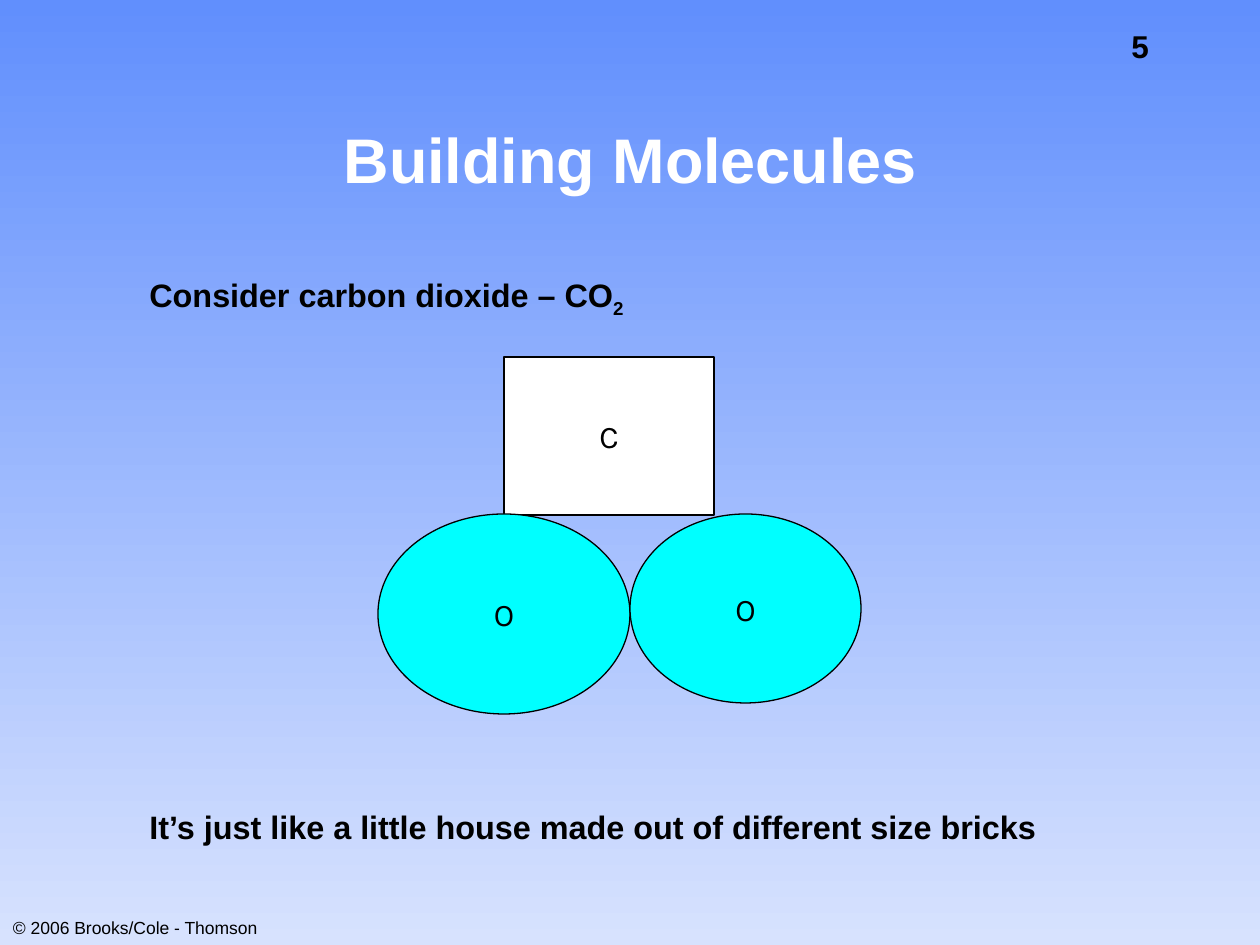
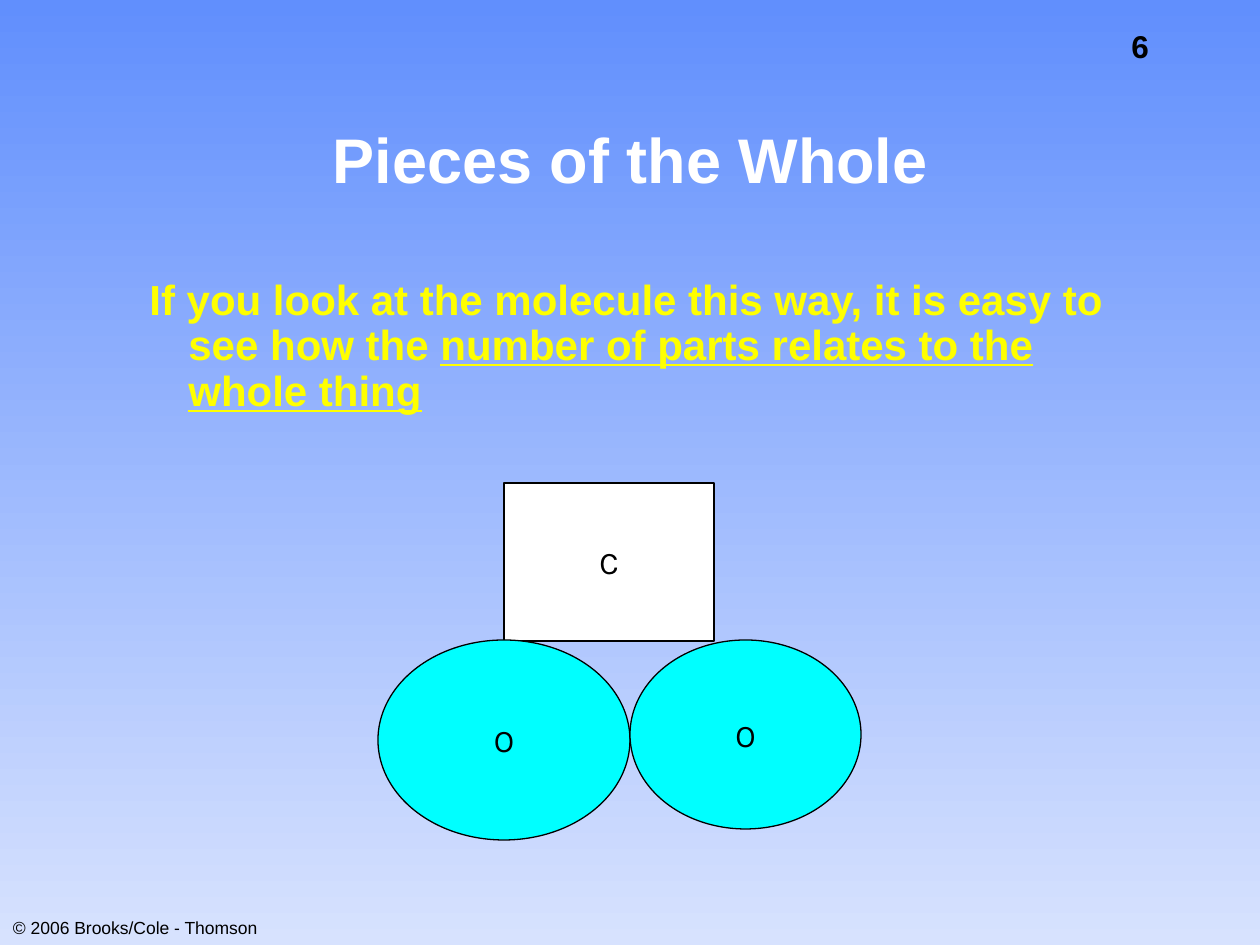
from dataclasses import dataclass

from pptx import Presentation
from pptx.dml.color import RGBColor
from pptx.enum.shapes import MSO_SHAPE as SHAPE
from pptx.enum.text import MSO_ANCHOR as ANCHOR, PP_ALIGN as ALIGN
from pptx.util import Emu, Pt

SCALE = 914400 / 126


def px(n):
    return Emu(round(n * SCALE))


@dataclass(frozen=True)
class Theme:
    sky_top: str = "618FFD"
    sky_bottom: str = "D7E2FE"
    ink: str = "000000"
    white: str = "FFFFFF"
    oxygen: str = "00FFFF"
    accent: str = "FFFF00"
    font: str = "Arial"
    atom_font: str = "Karla"
    title_size: float = 36
    accent_size: float = 24
    body_size: float = 18.5
    label_size: float = 18
    footer_size: float = 10


class Deck:
    def __init__(self, theme):
        self.theme = theme
        self.prs = Presentation()
        self.prs.slide_width, self.prs.slide_height = px(1260), px(945)
        self.s = None

    def slide(self, number, title):
        t = self.theme
        self.s = self.prs.slides.add_slide(self.prs.slide_layouts[6])
        fill = self.s.background.fill
        fill.gradient()
        fill.gradient_angle = 270
        for stop, color in zip(fill.gradient_stops, (t.sky_top, t.sky_bottom)):
            stop.color.rgb = RGBColor.from_string(color)
        self.text((1119, 21, 178, 51), [(str(number), {})], t.label_size,
                  wrap=False, bold=True)
        self.text((0, 911, 270, 34), [("© 2006 Brooks/Cole - Thomson", {})],
                  t.footer_size, wrap=False, align=ALIGN.CENTER)
        self.text((137, 84, 987, 158), [(title, {})], t.title_size, t.white,
                  bold=True, align=ALIGN.CENTER, anchor=ANCHOR.MIDDLE,
                  line_spacing=0.9)

    def text(self, box, runs, size, color=None, wrap=True, bold=False,
             anchor=ANCHOR.TOP, **formats):
        tf = self.s.shapes.add_textbox(*map(px, box)).text_frame
        tf.word_wrap, tf.vertical_anchor = wrap, anchor
        self.paragraph(tf.paragraphs[0], runs, size, color, bold=bold, **formats)
        return tf

    def paragraph(self, p, runs, size, color=None, font=None, bold=False,
                  hanging=False, align=ALIGN.LEFT, **formats):
        p.alignment = align
        for name, value in formats.items():
            setattr(p, name, value)
        if hanging:
            pPr = p._p.get_or_add_pPr()
            pPr.set("marL", str(px(39)))
            pPr.set("indent", str(px(-39)))
        for words, extra in runs:
            r = p.add_run()
            r.text = words
            style = {"name": font or self.theme.font, "size": Pt(size),
                     "bold": bold, "underline": extra.get("underline")}
            for name, value in style.items():
                setattr(r.font, name, value)
            r.font.color.rgb = RGBColor.from_string(color or self.theme.ink)
            if "baseline" in extra:
                r.font._element.set("baseline", str(extra["baseline"]))

    def body(self, runs, size, color=None, **formats):
        return self.text((137, 273, 987, 567), runs, size, color, bold=True,
                         hanging=True, **formats)

    def atom(self, kind, box, symbol, color):
        t = self.theme
        sp = self.s.shapes.add_shape(kind, *map(px, box))
        sp.shadow.inherit = False
        sp.fill.solid()
        sp.fill.fore_color.rgb = RGBColor.from_string(color)
        sp.line.color.rgb = RGBColor.from_string(t.ink)
        sp.line.width = Pt(0.75)
        tf = sp.text_frame
        tf.word_wrap, tf.vertical_anchor = False, ANCHOR.MIDDLE
        self.paragraph(tf.paragraphs[0], [(symbol, {})], t.label_size,
                       font=t.atom_font, align=ALIGN.CENTER)

    def carbon_dioxide(self, top):
        """Stack one square carbon on two round oxygens."""
        t = self.theme
        base = top + 157
        self.atom(SHAPE.RECTANGLE, (504, top, 210, 158), "C", t.white)
        for left, width, height in ((378, 252, 200), (630, 231, 189)):
            self.atom(SHAPE.OVAL, (left, base, width, height), "O", t.oxygen)


def main():
    theme = Theme()
    deck = Deck(theme)

    deck.slide(5, "Building Molecules")
    tf = deck.body([("Consider carbon dioxide – CO", {}),
                    ("2", {"baseline": -25000})],
                   theme.body_size, line_spacing=0.8)
    deck.paragraph(tf.add_paragraph(),
                   [("It’s just like a little house made out of different "
                     "size bricks", {})],
                   theme.body_size, bold=True, hanging=True,
                   line_spacing=0.8, space_before=Pt(286))
    deck.carbon_dioxide(357)

    deck.slide(6, "Pieces of the Whole")
    deck.body([("If you look at the molecule this way, it is easy to see "
                "how the ", {}),
               ("number of parts relates to the whole thing",
                {"underline": True})],
              theme.accent_size, theme.accent, line_spacing=0.9)
    deck.carbon_dioxide(483)

    deck.prs.save("out.pptx")


if __name__ == "__main__":
    main()
